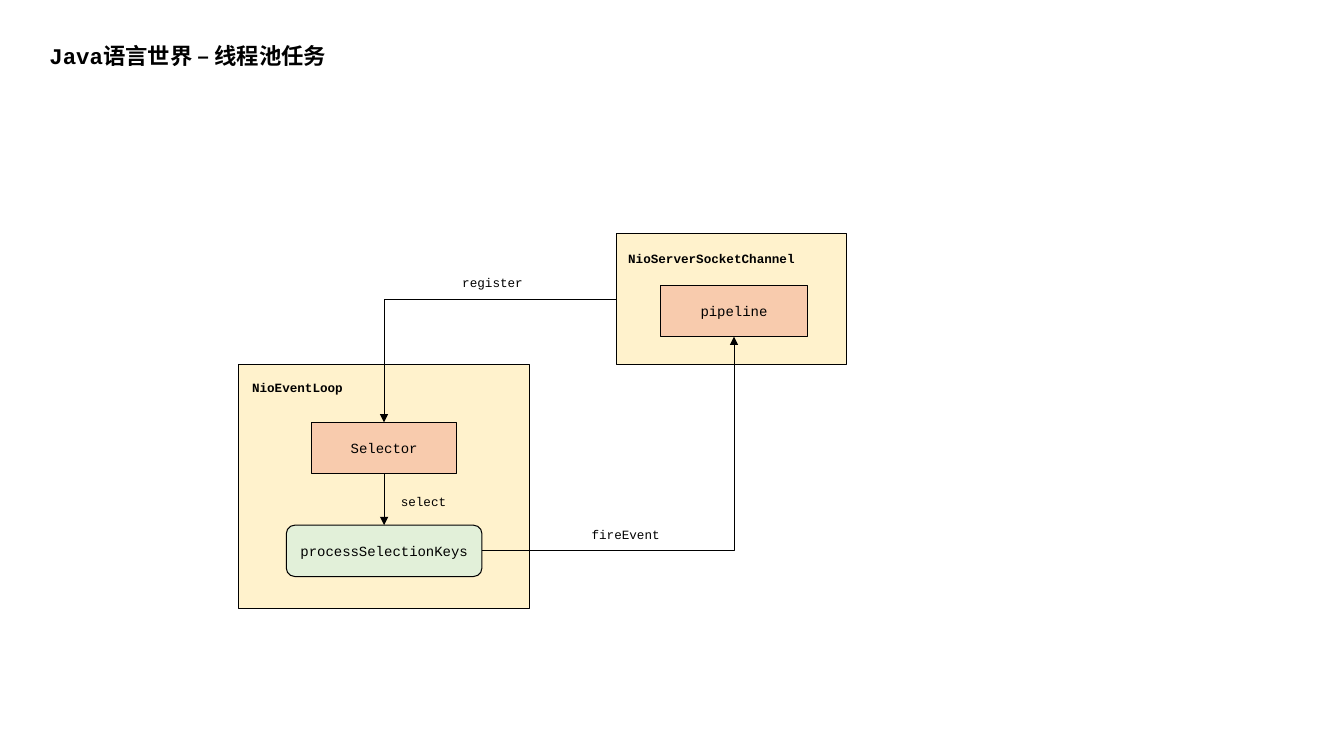
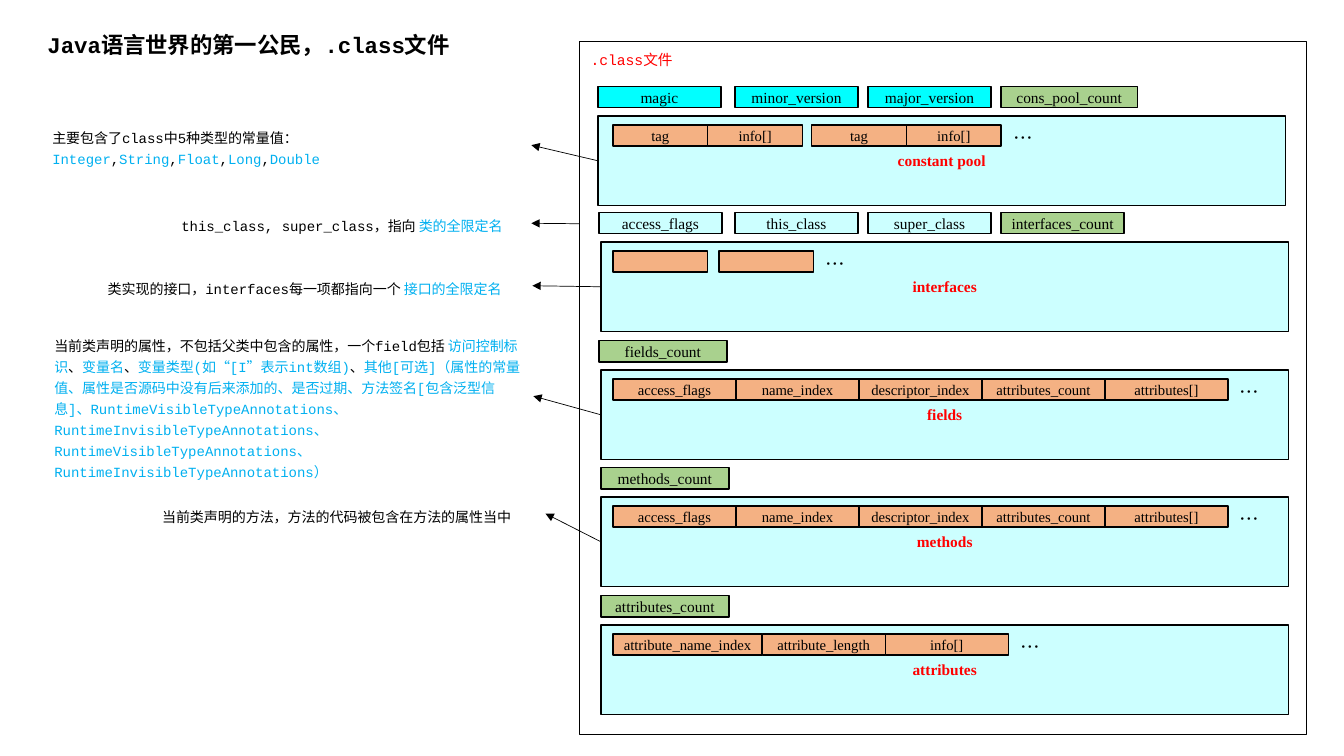
from lxml import etree
from pptx import Presentation
from pptx.dml.color import RGBColor
from pptx.enum.shapes import MSO_CONNECTOR, MSO_SHAPE
from pptx.enum.text import MSO_ANCHOR, MSO_AUTO_SIZE, PP_ALIGN
from pptx.oxml.ns import qn
from pptx.util import Emu, Pt

RECT, ROUNDED = MSO_SHAPE.RECTANGLE, MSO_SHAPE.ROUNDED_RECTANGLE
STRAIGHT, ELBOW = MSO_CONNECTOR.STRAIGHT, MSO_CONNECTOR.ELBOW
LEFT, CENTER, JUSTIFY = PP_ALIGN.LEFT, PP_ALIGN.CENTER, PP_ALIGN.JUSTIFY
TOP_ANCHOR, MIDDLE = MSO_ANCHOR.TOP, MSO_ANCHOR.MIDDLE
NO_AUTOFIT = MSO_AUTO_SIZE.NONE
SIDE_TOP, SIDE_LEFT, SIDE_BOTTOM, SIDE_RIGHT = range(4)

PX = 9144
MONO, SERIF, CJK = "Courier New", "Times New Roman", "Noto Sans CJK SC"
BLACK, RED, BLUE = "000000", "FF0000", "00B0F0"
CREAM, PEACH, MINT = "FFF2CC", "F8CBAD", "E2F0D9"
CYAN, PALE, GREEN, ORANGE = "01FFFF", "CCFFFF", "A9D18E", "F4B183"

MEMBER_CELLS = [("access_flags", 122), ("name_index", 122), ("descriptor_index", 122),
                ("attributes_count", 122), ("attributes[]", 122)]

SECTIONS = [
    ("constant pool", 593, 115,
     [("magic", 593, 122, CYAN), ("minor_version", 729, 122, CYAN),
      ("major_version", 861, 122, CYAN), ("cons_pool_count", 993, 135, GREEN)],
     [(608, [("tag", 94), ("info[]", 94)]), (805, [("tag", 94), ("info[]", 94)])]),
    ("interfaces", 596, 240,
     [("access_flags", 594, 122, PALE), ("this_class", 729, 122, PALE),
      ("super_class", 861, 122, PALE), ("interfaces_count", 993, 122, GREEN)],
     [(608, [("", 94)]), (713, [("", 94)])]),
    ("fields", 596, 367, [("fields_count", 594, 127, GREEN)], [(608, MEMBER_CELLS)]),
    ("methods", 596, 493, [("methods_count", 596, 127, GREEN)], [(608, MEMBER_CELLS)]),
    ("attributes", 596, 620, [("attributes_count", 596, 127, GREEN)],
     [(608, [("attribute_name_index", 148), ("attribute_length", 122), ("info[]", 122)])]),
]

NOTES = [
    ("constant pool", (42, 119, 485, 50),
     [("主要包含了class中5种类型的常量值：", BLACK), ("Integer", BLUE), (",", BLACK),
      ("String", BLUE), (",", BLACK), ("Float", BLUE), (",", BLACK), ("Long", BLUE),
      (",", BLACK), ("Double", BLUE)]),
    (None, (170, 207, 357, 29),
     [("this_class, super_class，指向 ", BLACK), ("类的全限定名", BLUE)]),
    ("interfaces", (97, 269, 431, 29),
     [("类实现的接口，interfaces每一项都指向一个 ", BLACK), ("接口的全限定名", BLUE)]),
    ("fields", (44, 326, 485, 134),
     [("当前类声明的属性，不包括父类中包含的属性，一个field包括 ", BLACK),
      ("访问控制标识", BLUE), ("、", BLACK), ("变量名", BLUE), ("、", BLACK),
      ("变量类型(如“[I”表示int数组)", BLUE), ("、", BLACK),
      ("其他[可选]（属性的常量值、属性是否源码中没有后来添加的、是否过期、"
       "方法签名[包含泛型信息]、RuntimeVisibleTypeAnnotations、"
       "RuntimeInvisibleTypeAnnotations、RuntimeVisibleTypeAnnotations、"
       "RuntimeInvisibleTypeAnnotations）", BLUE)]),
    ("methods", (151, 495, 390, 29),
     [("当前类声明的方法，方法的代码被包含在方法的属性当中", BLACK)]),
]


def px(value):
    """Turn whole px into EMU."""
    return Emu(round(value * PX))


def rgb(value):
    """Turn a hex string into a colour."""
    return RGBColor.from_string(value)


def apply(target, values):
    """Set each attribute named in a dict of format values."""
    for name, value in values.items():
        setattr(target, name, value)


def write(frame, runs, size, font=MONO, bold=False, align=LEFT, spacing=1.0,
          anchor=TOP_ANCHOR, inset=(10, 5), wrap=True):
    """Fill a text frame with one paragraph of (text, colour) runs."""
    side, edge = map(px, inset)
    apply(frame, {"auto_size": NO_AUTOFIT, "word_wrap": wrap, "vertical_anchor": anchor,
                  "margin_left": side, "margin_right": side,
                  "margin_top": edge, "margin_bottom": edge})
    paragraph = frame.paragraphs[0]
    apply(paragraph, {"alignment": align, "line_spacing": spacing})
    for text, color in runs:
        run = paragraph.add_run()
        run.text = text
        apply(run.font, {"size": Pt(size), "name": font, "bold": bold})
        run.font.color.rgb = rgb(color)
        properties = run.font._element
        properties.set("lang", "zh-CN")
        etree.SubElement(properties, qn("a:ea")).set("typeface", CJK)


def add_titled_slide(deck, title, bounds):
    """Add a title-only slide and place its title."""
    slide = deck.slides.add_slide(deck.slide_layouts[5])
    heading = slide.shapes.title
    apply(heading, dict(zip(("left", "top", "width", "height"), map(px, bounds))))
    write(heading.text_frame, [(title, BLACK)], 16, bold=True, align=JUSTIFY)
    return slide


def add_label(slide, bounds, runs, size, **style):
    """Add a text box."""
    label = slide.shapes.add_textbox(*map(px, bounds))
    write(label.text_frame, runs, size, **style)
    return label


def add_box(slide, bounds, fill, text="", size=10, color=BLACK, weight=1, form=RECT, **style):
    """Add an outlined box with centred text."""
    box = slide.shapes.add_shape(form, *map(px, bounds))
    box.shadow.inherit = False
    if fill:
        box.fill.solid()
        box.fill.fore_color.rgb = rgb(fill)
    else:
        box.fill.background()
    box.line.color.rgb = rgb(BLACK)
    box.line.width = Pt(weight)
    if text:
        write(box.text_frame, [(text, color)], size, align=CENTER, anchor=MIDDLE,
              inset=(0, 0), wrap=False, **style)
    return box


def side_point(box, side):
    """Return the middle of one side of a box."""
    across = {SIDE_LEFT: 0, SIDE_RIGHT: 2}.get(side, 1)
    down = {SIDE_TOP: 0, SIDE_BOTTOM: 2}.get(side, 1)
    return Emu(box.left + box.width * across // 2), Emu(box.top + box.height * down // 2)


def add_arrow(slide, target, source=None, start=None, kind=STRAIGHT):
    """Add an arrow to a (box, side) from another one or from a free point."""
    begin = side_point(*source) if source else tuple(map(px, start))
    arrow = slide.shapes.add_connector(kind, *begin, *side_point(*target))
    if source:
        arrow.begin_connect(*source)
    arrow.end_connect(*target)
    arrow.line.color.rgb = rgb(BLACK)
    arrow.line.width = Pt(0.5)
    properties = arrow._element.spPr
    if kind == ELBOW:
        properties.find(qn("a:prstGeom")).set("prst", "bentConnector2")
    etree.SubElement(properties.find(qn("a:ln")), qn("a:tailEnd")).set("type", "triangle")
    etree.SubElement(properties, qn("a:effectLst"))


def build_event_loop(deck):
    """Build the slide on thread pool tasks."""
    slide = add_titled_slide(deck, "Java语言世界 – 线程池任务", (39, 37, 488, 37))
    add_box(slide, (237, 362, 288, 242), CREAM, weight=0.75)
    channel = add_box(slide, (611, 232, 229, 130), CREAM, weight=0.75)
    selector, pipeline, keys = [
        add_box(slide, bounds, fill, text, weight=0.75, form=form, font=MONO)
        for text, bounds, fill, form in [
            ("Selector", (309, 419, 144, 51), PEACH, RECT),
            ("pipeline", (655, 283, 146, 51), PEACH, RECT),
            ("processSelectionKeys", (284, 521, 194, 51), MINT, ROUNDED)]]
    add_arrow(slide, (keys, SIDE_TOP), (selector, SIDE_BOTTOM))
    add_arrow(slide, (selector, SIDE_TOP), (channel, SIDE_LEFT), kind=ELBOW)
    add_arrow(slide, (pipeline, SIDE_BOTTOM), (keys, SIDE_RIGHT), kind=ELBOW)
    for text, left, top, width, bold in [
            ("NioEventLoop", 237, 368, 116, True),
            ("NioServerSocketChannel", 611, 240, 189, True),
            ("register", 437, 264, 103, False),
            ("fireEvent", 569, 514, 103, False),
            ("select", 386, 481, 68, False)]:
        add_label(slide, (left, top, width, 27), [(text, BLACK)], 9,
                  bold=bold, align=CENTER, spacing=1.25)


def add_section(slide, name, left, top, headers, cell_groups):
    """Add one part of the class file: header cells, band and entry cells."""
    for text, header_left, width, fill in headers:
        add_box(slide, (header_left, top - 29, width, 21), fill, text, 11, font=SERIF)
    band = add_box(slide, (left, top, 682, 89), PALE, name, 11, RED, font=SERIF, bold=True)
    for cell_left, cells in cell_groups:
        for text, width in cells:
            add_box(slide, (cell_left, top + 9, width, 21), ORANGE, text, 10.5, font=SERIF)
            cell_left += width
    add_label(slide, (cell_left + 2, top + 5, 34, 27), [("…", BLACK)], 14, font=CJK)
    return band


def build_class_file(deck):
    """Build the slide on the layout of a class file."""
    slide = add_titled_slide(deck, "Java语言世界的第一公民，.class文件", (37, 26, 431, 37))
    add_box(slide, (575, 41, 721, 688), None)
    add_label(slide, (576, 46, 104, 28), [(".class文件", RED)], 10.5, align=JUSTIFY)
    bands = {section[0]: add_section(slide, *section) for section in SECTIONS}
    for name, bounds, runs in NOTES:
        note = add_label(slide, bounds, runs, 10, spacing=1.25)
        source = (bands[name], SIDE_LEFT) if name else None
        add_arrow(slide, (note, SIDE_RIGHT), source, start=(575, 222))


def main():
    """Build and save the deck."""
    deck = Presentation()
    deck.slide_width, deck.slide_height = px(1333), px(750)
    build_event_loop(deck)
    build_class_file(deck)
    deck.save("out.pptx")


if __name__ == "__main__":
    main()
